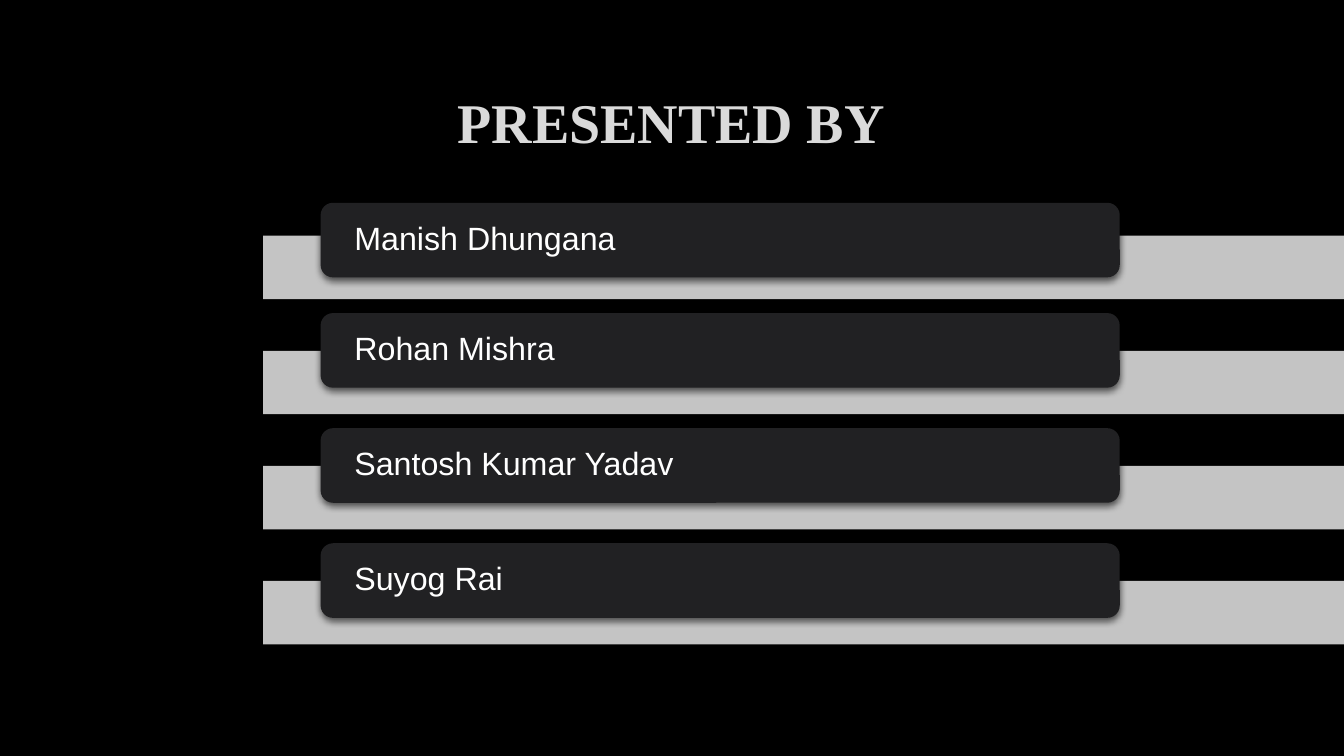
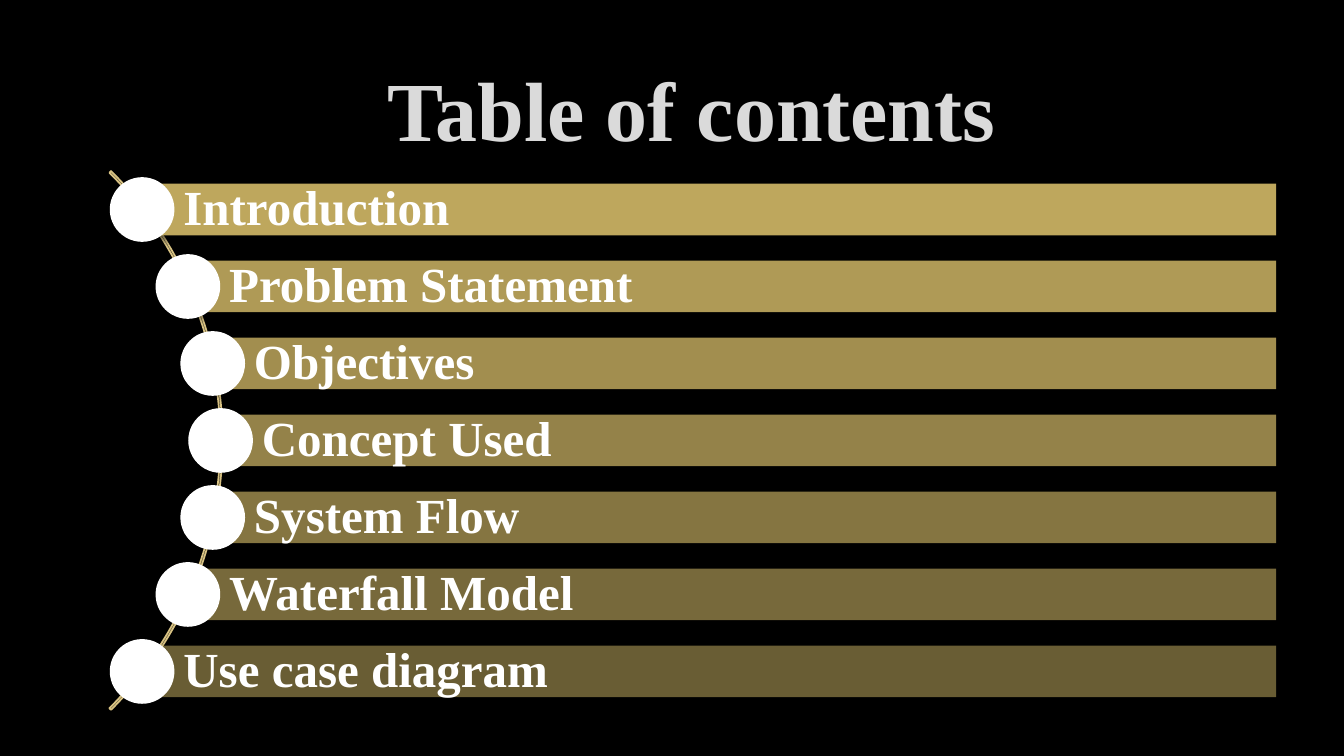
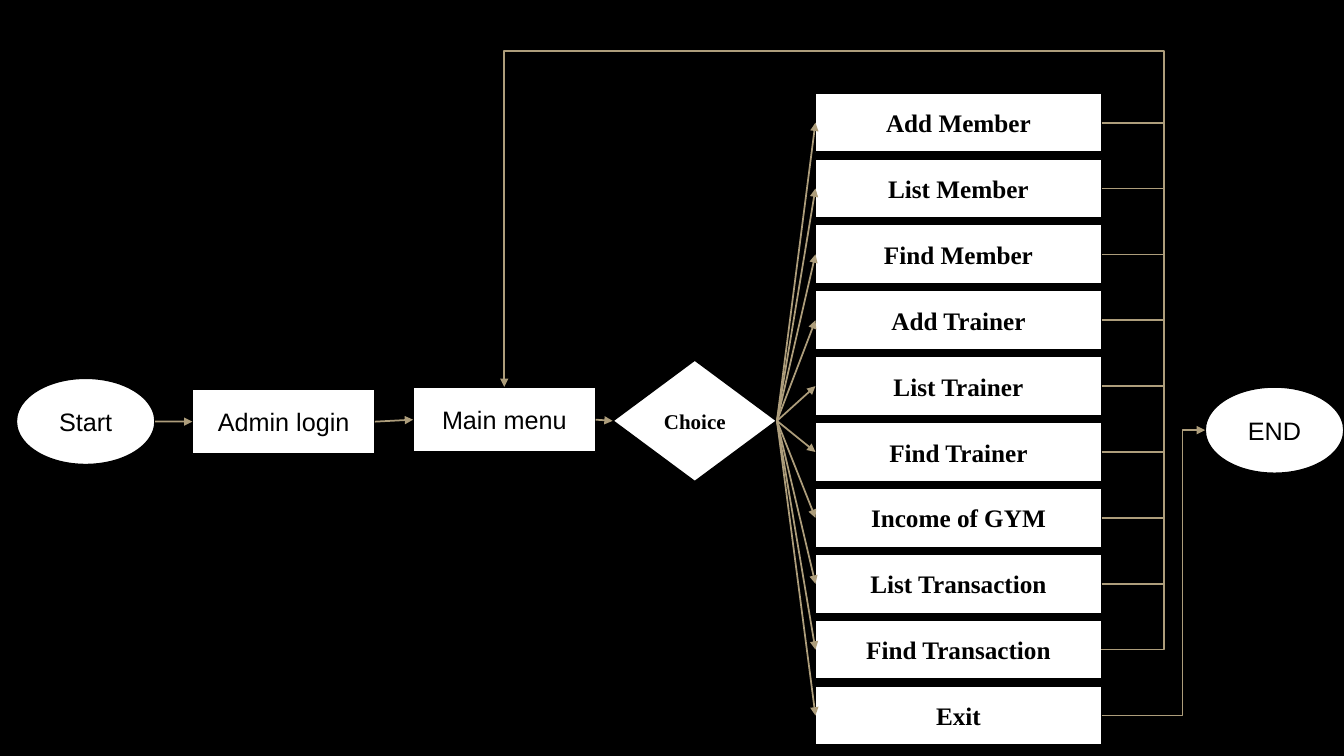
from dataclasses import dataclass
from math import sqrt

from lxml import etree
from pptx import Presentation
from pptx import util as u
from pptx.dml.color import RGBColor
from pptx.enum import shapes, text
from pptx.oxml import ns

Cm, Pt = u.Cm, u.Pt
KIND = shapes.MSO_SHAPE
LEFT, CENTER = text.PP_ALIGN.LEFT, text.PP_ALIGN.CENTER


@dataclass(frozen=True)
class Theme:
    black: str = "000000"
    white: str = "FFFFFF"
    silver: str = "DADADA"
    card: str = "212123"
    gold: str = "D3BA68"
    arc: str = "D8C283"
    arrow: str = "AD9D7B"
    sans: str = "Arial"
    serif: str = "Times New Roman"
    heading: int = 40
    big_heading: int = 60
    presenter: int = 23
    topic: int = 35
    step: int = 18
    choice: int = 15
    line: float = 1.25


T = Theme()
SLIDE_W, SLIDE_H = 33.87, 19.05

PRESENTERS = [("Manish Dhungana", 0.83), ("Rohan Mishra", 0.95),
              ("Santosh Kumar Yadav", 0.95), ("Suyog Rai", 0.95)]
TOPICS = ["Introduction", "Problem Statement", "Objectives", "Concept Used",
          "System Flow", "Waterfall Model", "Use case diagram"]
STEPS = {
    "Start": (KIND.OVAL, (0.41, 9.53, 3.5, 2.18)),
    "Admin login": (KIND.RECTANGLE, (4.85, 9.8, 4.6, 1.65)),
    "Main menu": (KIND.RECTANGLE, (10.41, 9.75, 4.6, 1.65)),
    "Choice": (KIND.DIAMOND, (15.44, 9.07, 4.14, 3.07)),
    "END": (KIND.OVAL, (30.37, 9.75, 3.5, 2.18)),
}
OPTIONS = ["Add Member", "List Member", "Find Member", "Add Trainer",
           "List Trainer", "Find Trainer", "Income of GYM",
           "List Transaction", "Find Transaction", "Exit"]


def rgb(color):
    return RGBColor.from_string(color)


def add_xml(parent, tag, **attributes):
    return etree.SubElement(parent, ns.qn(tag), attributes)


def write(shape, words, size, font, color, bold=False, align=CENTER,
          indent=0, spacing=None):
    frame = shape.text_frame
    frame.word_wrap = True
    frame.vertical_anchor = text.MSO_ANCHOR.MIDDLE
    frame.margin_top = frame.margin_bottom = frame.margin_right = 0
    frame.margin_left = Cm(indent)
    line = frame.paragraphs[0]
    line.text = words
    line.alignment = align
    line.line_spacing = spacing
    line.font.size, line.font.name, line.font.bold = Pt(size), font, bold
    line.font.color.rgb = rgb(color)


def add_box(slide, kind, place, fill=None, line=None, opacity=None):
    box = slide.shapes.add_shape(kind, *map(Cm, place))
    box.shadow.inherit = False
    if fill:
        box.fill.solid()
        box.fill.fore_color.rgb = rgb(fill)
    else:
        box.fill.background()
    if opacity is not None:
        tint = box.element.spPr.find(".//" + ns.qn("a:srgbClr"))
        add_xml(tint, "a:alpha", val=str(round(opacity * 1000)))
    if line:
        box.line.color.rgb = rgb(line)
        box.line.width = Pt(T.line)
    else:
        box.line.fill.background()
    return box


def cast_shadow(box):
    effects = box.element.spPr.find(ns.qn("a:effectLst"))
    shadow = add_xml(effects, "a:outerShdw", blurRad=str(Pt(5)), dist=str(Pt(2)),
                     dir="5400000", algn="ctr", rotWithShape="0")
    add_xml(add_xml(shadow, "a:srgbClr", val=T.black), "a:alpha", val="60000")


def add_title(slide, words, place, size):
    title = slide.shapes.add_textbox(*map(Cm, place))
    write(title, words, size, T.serif, T.silver, bold=True)


def left_of(box):
    return box.left, box.top + box.height // 2


def right_of(box):
    return box.left + box.width, box.top + box.height // 2


def top_of(box):
    return box.left + box.width // 2, box.top


def add_link(slide, start, end, source=None, target=None, arrow=True,
             preset=None, bends=()):
    kind = shapes.MSO_CONNECTOR.ELBOW if preset else shapes.MSO_CONNECTOR.STRAIGHT
    link = slide.shapes.add_connector(kind, *start, *end)
    if source:
        link.begin_connect(*source)
    if target:
        link.end_connect(*target)
    link.begin_x, link.begin_y = start
    link.end_x, link.end_y = end
    link.line.color.rgb = rgb(T.arrow)
    link.line.width = Pt(T.line)
    properties = link.element.spPr
    if preset:
        geometry = properties.find(ns.qn("a:prstGeom"))
        geometry.set("prst", preset)
        guides = geometry.find(ns.qn("a:avLst"))
        for number, bend in enumerate(bends, 1):
            add_xml(guides, "a:gd", name=f"adj{number}",
                    fmla=f"val {round(bend * 100000)}")
    if arrow:
        add_xml(properties.find(ns.qn("a:ln")), "a:tailEnd", type="triangle")
    add_xml(properties, "a:effectLst")


def build_presenters(slide):
    add_title(slide, "PRESENTED BY", (2.54, 1.7, 28.75, 2.69), T.heading)
    band_left, first_top, step = 6.63, 5.94, 2.9
    for row, (name, lift) in enumerate(PRESENTERS):
        top = first_top + row * step
        add_box(slide, KIND.RECTANGLE, (band_left, top, SLIDE_W - band_left, 1.6),
                T.silver, opacity=90)
        card = add_box(slide, KIND.ROUNDED_RECTANGLE,
                       (8.08, top - lift, 20.14, 1.88), T.card)
        cast_shadow(card)
        write(card, name, T.presenter, T.sans, T.white, align=LEFT,
              indent=0.76, spacing=0.9)


def build_contents(slide):
    add_title(slide, "Table of contents", (3.05, 1.8, 28.75, 1.83), T.big_heading)
    center_x, center_y, radius, orbit = -3.99, 11.1, 9.6, 9.55
    arc = add_box(slide, KIND.BLOCK_ARC,
                  (center_x - radius, center_y - radius, 2 * radius, 2 * radius),
                  line=T.arc)
    for index, value in enumerate((189, 27, 0.003)):
        arc.adjustments[index] = value
    step, bar_height, bar_right, dot = 1.94, 1.3, 32.16, 1.63
    last = len(TOPICS) - 1
    for row, topic in enumerate(TOPICS):
        rise = (row - last / 2) * step
        x, y = center_x + sqrt(orbit ** 2 - rise ** 2), center_y + rise
        bar = add_box(slide, KIND.RECTANGLE,
                      (x, y - bar_height / 2, bar_right - x, bar_height),
                      T.gold, opacity=90 - 40 * row / last)
        cast_shadow(bar)
        write(bar, topic, T.topic, T.serif, T.white, bold=True, align=LEFT,
              indent=1.04, spacing=0.9)
        add_box(slide, KIND.OVAL, (x - dot / 2, y - dot / 2, dot, dot), T.white)


def build_flow(slide):
    steps = {}
    for name, (kind, place) in STEPS.items():
        steps[name] = add_box(slide, kind, place, T.white, T.black)
        is_choice = kind == KIND.DIAMOND
        write(steps[name], name, T.choice if is_choice else T.step,
              T.serif if is_choice else T.sans, T.black, bold=is_choice)
    start, login, menu, choice, end = steps.values()
    add_link(slide, right_of(start), left_of(login), target=(login, 1))
    for source, target in ((login, menu), (menu, choice)):
        add_link(slide, right_of(source), left_of(target), (source, 3), (target, 1))

    options = []
    for row, name in enumerate(OPTIONS):
        option = add_box(slide, KIND.RECTANGLE, (20.55, 2.34 + row * 1.66, 7.21, 1.5),
                         T.white, T.black)
        write(option, name, T.step, T.serif, T.black, bold=True)
        add_link(slide, right_of(choice), left_of(option), (choice, 3), (option, 1))
        options.append(option)

    *returning, last_return, leaving = options
    rail_x, rail_top, exit_x = Cm(29.34), Cm(1.29), Cm(29.8)
    for option in returning:
        x, y = right_of(option)
        add_link(slide, (x, y), (rail_x, y), (option, 3), arrow=False)

    (x, y), (menu_x, menu_y) = right_of(last_return), top_of(menu)
    add_link(slide, (x, y), (menu_x, menu_y), (last_return, 3), (menu, 0),
             preset="bentConnector4",
             bends=((rail_x - x) / (menu_x - x), (rail_top - y) / (menu_y - y)))
    (x, y), (end_x, end_y) = right_of(leaving), left_of(end)
    add_link(slide, (x, y), (end_x, end_y), (leaving, 3), (end, 2),
             preset="bentConnector3", bends=((exit_x - x) / (end_x - x),))


def main():
    deck = Presentation()
    deck.slide_width, deck.slide_height = Cm(SLIDE_W), Cm(SLIDE_H)
    backdrop = deck.slide_master.background.fill
    backdrop.solid()
    backdrop.fore_color.rgb = rgb(T.black)
    for build in (build_presenters, build_contents, build_flow):
        build(deck.slides.add_slide(deck.slide_layouts[6]))
    deck.save("out.pptx")


if __name__ == "__main__":
    main()
